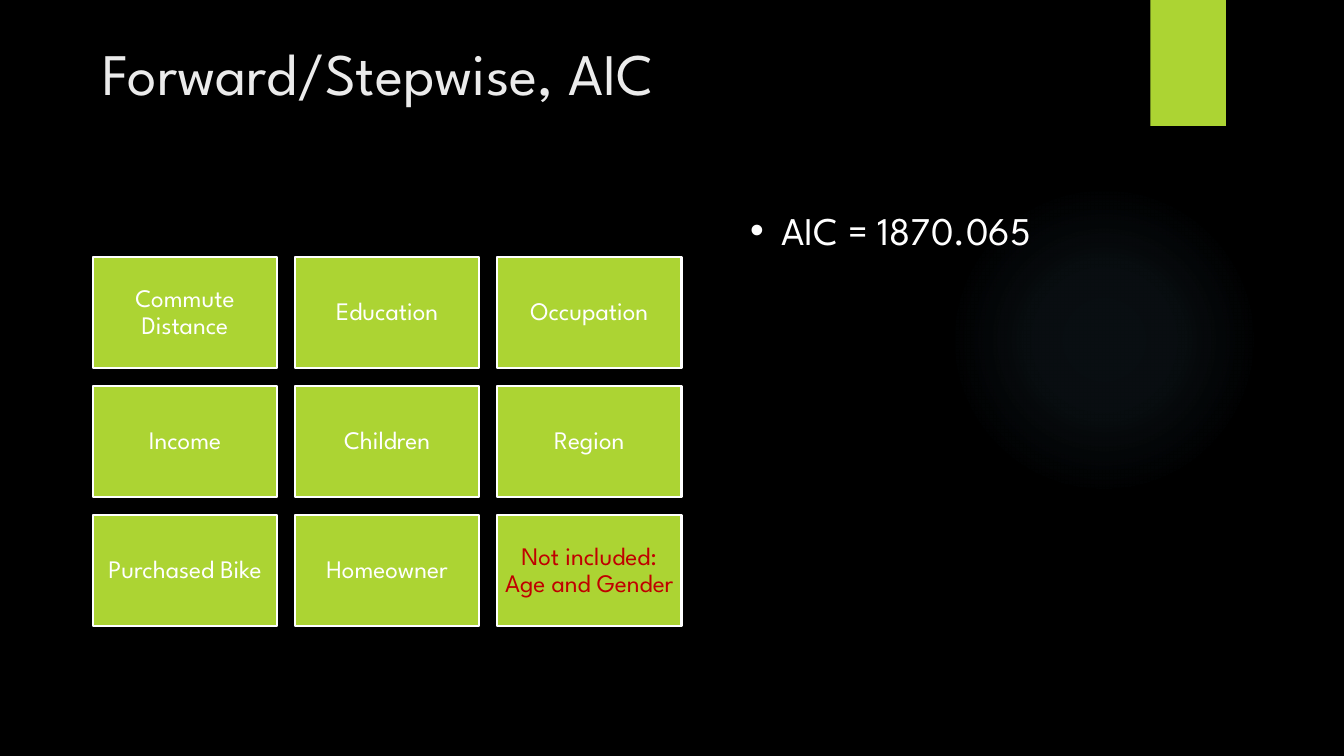
import pptx
import pptx.util
import pptx.oxml
import pptx.oxml.ns
import pptx.dml.color
import pptx.enum.shapes
import pptx.enum.text

Inches = pptx.util.Inches
Pt = pptx.util.Pt
RGBColor = pptx.dml.color.RGBColor
SHAPE = pptx.enum.shapes.MSO_SHAPE
ALIGN = pptx.enum.text.PP_ALIGN
ANCHOR = pptx.enum.text.MSO_ANCHOR
FIT = pptx.enum.text.MSO_AUTO_SIZE

FONT = "League Spartan"
BLACK = RGBColor(0x00, 0x00, 0x00)
WHITE = RGBColor(0xFF, 0xFF, 0xFF)
PALE = RGBColor(0xEB, 0xEB, 0xEB)
LIME = RGBColor(0xAC, 0xD4, 0x33)
RED = RGBColor(0xC0, 0x00, 0x00)
SKY = RGBColor(0x7A, 0xC4, 0xF0)

GLOW = [(0, 7), (36, 6), (69, 0)]
TERMS = [
    "Commute Distance", "Education", "Occupation",
    "Income", "Children", "Region",
    "Purchased Bike", "Homeowner", "Not included: Age and Gender",
]
COLS = 3


def style(para, size, color, align=ALIGN.LEFT):
    para.alignment = align
    para.font.name = FONT
    para.font.size = Pt(size)
    para.font.color.rgb = color


def place(shape, left, top, width, height):
    shape.left, shape.top = Inches(left), Inches(top)
    shape.width, shape.height = Inches(width), Inches(height)


def add_block(slide, kind, left, top, width, height):
    shape = slide.shapes.add_shape(
        kind, Inches(left), Inches(top), Inches(width), Inches(height))
    shape.shadow.inherit = False
    shape.fill.solid()
    shape.fill.fore_color.rgb = LIME
    shape.line.fill.background()
    return shape


def add_glow(slide):
    """Put a faint radial light behind everything else."""
    glow = add_block(slide, SHAPE.OVAL, 9.41, 1.83, 3.08, 3.08)
    stops = "".join(
        f'<a:gs pos="{pos * 1000}"><a:srgbClr val="{SKY}">'
        f'<a:alpha val="{alpha * 1000}"/></a:srgbClr></a:gs>'
        for pos, alpha in GLOW)
    grad = pptx.oxml.parse_xml(
        f'<a:gradFill {pptx.oxml.ns.nsdecls("a")}><a:gsLst>{stops}</a:gsLst>'
        '<a:path path="circle"><a:fillToRect l="50000" t="50000" '
        'r="50000" b="50000"/></a:path></a:gradFill>')
    props = glow.element.spPr
    props.replace(props.find(pptx.oxml.ns.qn("a:solidFill")), grad)
    slide.shapes.element.insert(2, glow.element)


def add_tile(slide, left, top, text, color):
    tile = add_block(slide, SHAPE.RECTANGLE, left, top, 1.83, 1.1)
    tile.line.color.rgb = WHITE
    tile.line.width = Pt(1.5)
    frame = tile.text_frame
    frame.word_wrap = True
    frame.vertical_anchor = ANCHOR.MIDDLE
    frame.margin_left = frame.margin_right = Inches(0.07)
    frame.margin_top = frame.margin_bottom = Inches(0.07)
    frame.text = text
    para = frame.paragraphs[0]
    para.line_spacing = 0.9
    style(para, 18, color, ALIGN.CENTER)


def set_title(slide, text):
    title = slide.shapes.title
    place(title, 0.92, 0.31, 11.5, 1.45)
    title.text_frame.text = text
    title.text_frame.vertical_anchor = ANCHOR.TOP
    title.text_frame.auto_size = FIT.NONE
    style(title.text_frame.paragraphs[0], 42, PALE)


def set_list(slide, text):
    body = slide.placeholders[1]
    place(body, 7.34, 2, 4.85, 0.57)
    body.text_frame.text = text
    body.text_frame.auto_size = FIT.SHAPE_TO_FIT_TEXT
    para = body.text_frame.paragraphs[0]
    style(para, 28, WHITE)
    para.space_before = Pt(0)
    props = para._p.get_or_add_pPr()
    props.set("marL", str(Inches(0.31)))
    props.set("indent", str(Inches(-0.31)))
    props.append(pptx.oxml.parse_xml(
        f'<a:buChar {pptx.oxml.ns.nsdecls("a")} char="•"/>'))


def main():
    deck = pptx.Presentation()
    deck.slide_width, deck.slide_height = Inches(13.33), Inches(7.5)
    slide = deck.slides.add_slide(deck.slide_layouts[1])
    slide.background.fill.solid()
    slide.background.fill.fore_color.rgb = BLACK

    add_glow(slide)
    add_block(slide, SHAPE.RECTANGLE, 11.41, 0, 0.75, 1.25)
    set_title(slide, "Forward/Stepwise, AIC")
    for i, term in enumerate(TERMS):
        row, col = divmod(i, COLS)
        color = RED if term.startswith("Not included") else WHITE
        add_tile(slide, 0.92 + 2.005 * col, 2.55 + 1.28 * row, term, color)
    set_list(slide, "AIC = 1870.065")
    deck.save("out.pptx")


if __name__ == "__main__":
    main()
